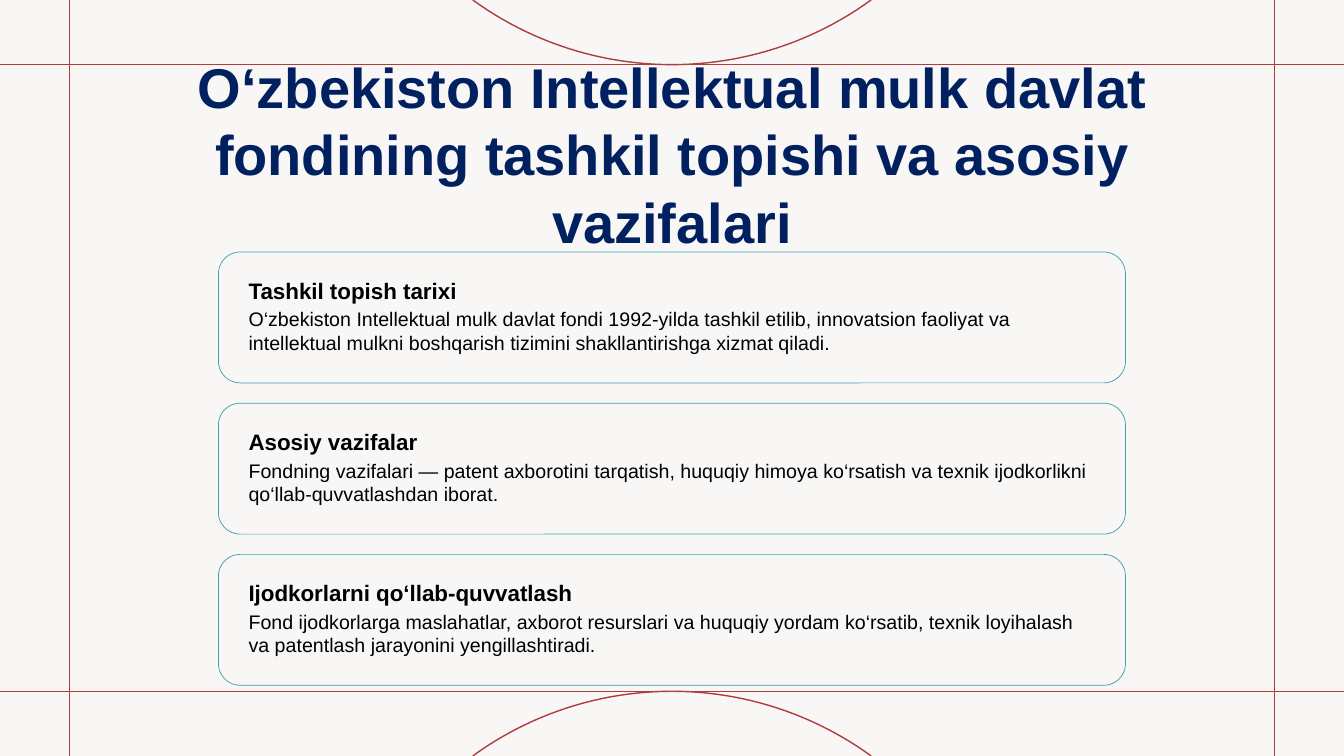
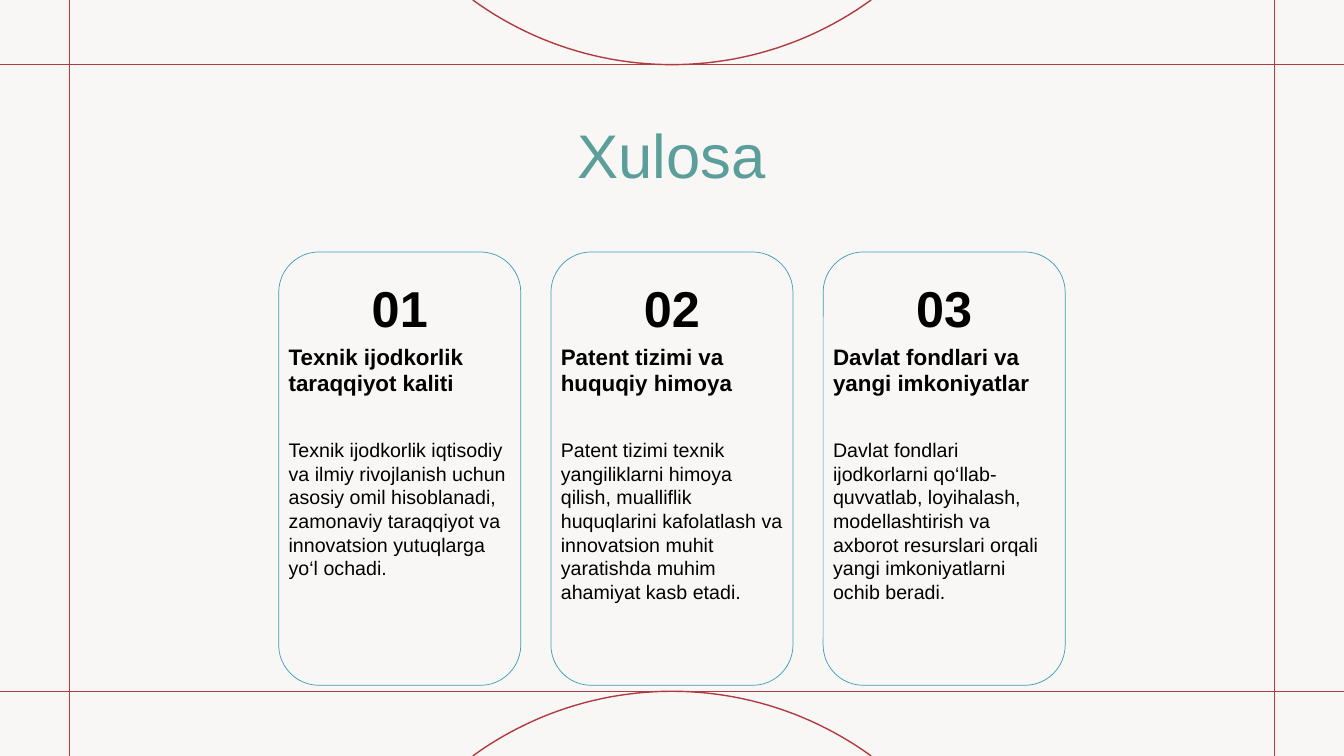
import math

from lxml import etree
from pptx import Presentation
from pptx.dml.color import RGBColor
from pptx.enum import shapes, text
from pptx.oxml import ns
from pptx.util import Cm, Pt

FUND_TITLE = "O‘zbekiston Intellektual mulk davlat fondining tashkil topishi va asosiy vazifalari"
FUND_CARDS = [
    ("Tashkil topish tarixi",
     "O‘zbekiston Intellektual mulk davlat fondi 1992-yilda tashkil etilib, innovatsion faoliyat va "
     "intellektual mulkni boshqarish tizimini shakllantirishga xizmat qiladi."),
    ("Asosiy vazifalar",
     "Fondning vazifalari — patent axborotini tarqatish, huquqiy himoya ko‘rsatish va texnik "
     "ijodkorlikni qo‘llab-quvvatlashdan iborat."),
    ("Ijodkorlarni qo‘llab-quvvatlash",
     "Fond ijodkorlarga maslahatlar, axborot resurslari va huquqiy yordam ko‘rsatib, texnik "
     "loyihalash va patentlash jarayonini yengillashtiradi."),
]
SUMMARY_TITLE = "Xulosa"
SUMMARY_COLUMNS = [
    ("Texnik ijodkorlik taraqqiyot kaliti",
     "Texnik ijodkorlik iqtisodiy va ilmiy rivojlanish uchun asosiy omil hisoblanadi, zamonaviy "
     "taraqqiyot va innovatsion yutuqlarga yo‘l ochadi."),
    ("Patent tizimi va huquqiy himoya",
     "Patent tizimi texnik yangiliklarni himoya qilish, mualliflik huquqlarini kafolatlash va "
     "innovatsion muhit yaratishda muhim ahamiyat kasb etadi."),
    ("Davlat fondlari va yangi imkoniyatlar",
     "Davlat fondlari ijodkorlarni qo‘llab-quvvatlab, loyihalash, modellashtirish va axborot "
     "resurslari orqali yangi imkoniyatlarni ochib beradi."),
]

PAPER = RGBColor(0xF8, 0xF7, 0xF6)
FRAME_RED = RGBColor(0xB1, 0x3B, 0x3E)
CARD_BLUE = RGBColor(0x3B, 0x9E, 0xB1)
NAVY = RGBColor(0x00, 0x20, 0x60)
TEAL = RGBColor(0x5B, 0x9E, 0x9A)
BLACK = RGBColor(0, 0, 0)
FONT = "Arial"

WIDTH, HEIGHT = 33.87, 19.05
MARGIN_X, MARGIN_Y = 1.75, 1.63
ARC_HALF = 5.02
ARC_STEPS = 48
CONTENT_TOP = 6.35


def add_frame_line(slide, x1, y1, x2, y2):
    line = slide.shapes.add_connector(
        shapes.MSO_CONNECTOR.STRAIGHT, Cm(x1), Cm(y1), Cm(x2), Cm(y2))
    line.line.color.rgb = FRAME_RED
    line.line.width = Pt(1)
    etree.SubElement(line._element.spPr, ns.qn("a:effectLst"))


def add_arc(slide, edge, direction):
    radius = (ARC_HALF ** 2 + MARGIN_Y ** 2) / (2 * MARGIN_Y)
    sweep = math.asin(ARC_HALF / radius)
    points = []
    for step in range(ARC_STEPS + 1):
        angle = sweep * (2 * step / ARC_STEPS - 1)
        depth = MARGIN_Y - radius * (1 - math.cos(angle))
        points.append((Cm(WIDTH / 2 + radius * math.sin(angle)), Cm(edge + direction * depth)))
    builder = slide.shapes.build_freeform(*points[0])
    builder.add_line_segments(points[1:], close=False)
    arc = builder.convert_to_shape()
    arc.shadow.inherit = False
    arc.fill.background()
    arc.line.color.rgb = FRAME_RED
    arc.line.width = Pt(1)


def add_text(slide, words, left, top, width, height, size, color=BLACK, bold=False,
             align=text.PP_ALIGN.LEFT, anchor=text.MSO_ANCHOR.TOP):
    frame = slide.shapes.add_textbox(Cm(left), Cm(top), Cm(width), Cm(height)).text_frame
    frame.word_wrap = True
    frame.vertical_anchor = anchor
    paragraph = frame.paragraphs[0]
    paragraph.alignment = align
    run = paragraph.add_run()
    run.text = words
    run.font.name = FONT
    run.font.size = Pt(size)
    run.font.bold = bold
    run.font.color.rgb = color


def add_card(slide, left, top, width, height):
    card = slide.shapes.add_shape(
        shapes.MSO_SHAPE.ROUNDED_RECTANGLE, Cm(left), Cm(top), Cm(width), Cm(height))
    card.shadow.inherit = False
    card.fill.background()
    card.line.color.rgb = CARD_BLUE
    card.line.width = Pt(0.5)


def add_framed_slide(deck, title, size, color, bold):
    slide = deck.slides.add_slide(deck.slide_layouts[6])
    slide.background.fill.solid()
    slide.background.fill.fore_color.rgb = PAPER
    for y in (MARGIN_Y, HEIGHT - MARGIN_Y):
        add_frame_line(slide, 0, y, WIDTH, y)
    for x in (MARGIN_X, WIDTH - MARGIN_X):
        add_frame_line(slide, x, 0, x, HEIGHT)
    add_arc(slide, 0, 1)
    add_arc(slide, HEIGHT, -1)
    add_text(slide, title, 2.33, 2.03, WIDTH - 2 * 2.33, 3.68, size, color, bold,
             text.PP_ALIGN.CENTER, text.MSO_ANCHOR.MIDDLE)
    return slide


def build_fund_slide(deck):
    slide = add_framed_slide(deck, FUND_TITLE, 40, NAVY, True)
    width, height, gap, inset = 22.86, 3.3, 0.51, 0.51
    left = (WIDTH - width) / 2
    for index, (heading, body) in enumerate(FUND_CARDS):
        top = CONTENT_TOP + index * (height + gap)
        add_card(slide, left, top, width, height)
        add_text(slide, heading, left + inset, top + inset, width - 2 * inset, 0.76, 16, bold=True)
        add_text(slide, body, left + inset, top + 1.27, width - 2 * inset, 2.03, 14)


def build_summary_slide(deck):
    slide = add_framed_slide(deck, SUMMARY_TITLE, 44, TEAL, False)
    width, height, gap = 6.1, 10.92, 0.76
    count = len(SUMMARY_COLUMNS)
    first_left = (WIDTH - count * width - (count - 1) * gap) / 2
    for index, (heading, body) in enumerate(SUMMARY_COLUMNS):
        left = first_left + index * (width + gap)
        add_card(slide, left, CONTENT_TOP, width, height)
        add_text(slide, f"{index + 1:02}", left, CONTENT_TOP + 0.51, width, 1.65, 36, bold=True,
                 align=text.PP_ALIGN.CENTER)
        add_text(slide, heading, left, CONTENT_TOP + 2.16, width, 1.6, 16, bold=True)
        add_text(slide, body, left, CONTENT_TOP + 4.57, width, 6, 14)


def main():
    deck = Presentation()
    deck.slide_width, deck.slide_height = Cm(WIDTH), Cm(HEIGHT)
    build_fund_slide(deck)
    build_summary_slide(deck)
    deck.save("out.pptx")


if __name__ == "__main__":
    main()
